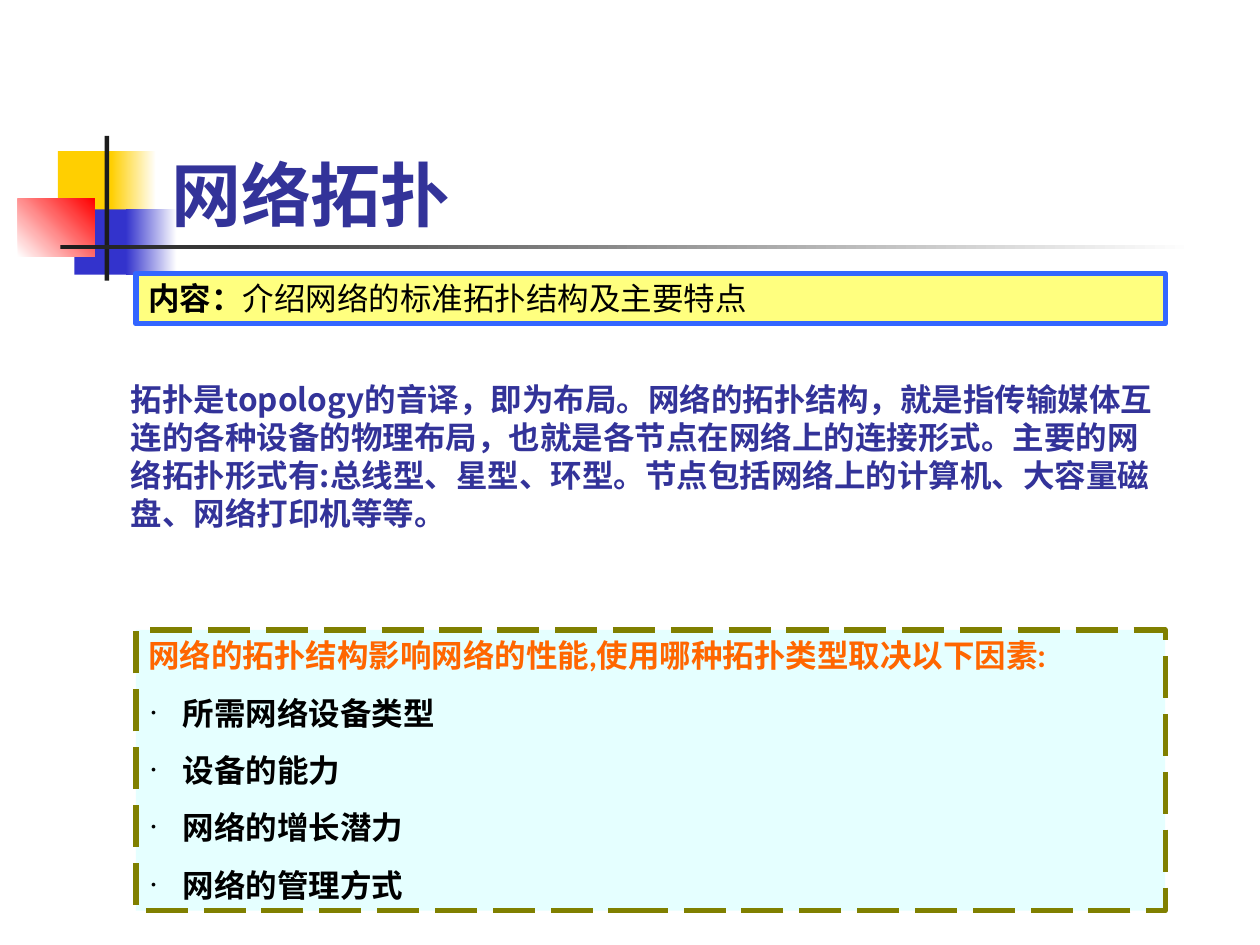
from dataclasses import dataclass

from lxml import etree
from pptx import Presentation
from pptx.dml.color import RGBColor
from pptx.enum.dml import MSO_LINE
from pptx.enum.shapes import MSO_SHAPE
from pptx.enum.text import MSO_ANCHOR, MSO_AUTO_SIZE, PP_ALIGN
from pptx.oxml.ns import qn
from pptx.util import Cm, Pt

RECT = MSO_SHAPE.RECTANGLE
LONG_DASH = MSO_LINE.LONG_DASH
TOP, BOTTOM = MSO_ANCHOR.TOP, MSO_ANCHOR.BOTTOM
LEFT = PP_ALIGN.LEFT
GROW = MSO_AUTO_SIZE.SHAPE_TO_FIT_TEXT

LATO, NOTO = "Lato", "Noto Sans CJK SC"
NAVY, BLACK, ORANGE = "333399", "000000", "FF6600"
BOX_LEFT, BOX_WIDTH = 2.74, 20.75
INDENT = Cm(0.69)


@dataclass
class Block:
    """A decorative rectangle in cm; a second colour makes it a gradient."""
    left: float
    top: float
    width: float
    height: float
    color: str
    end_color: str = ""
    angle: int = 0


BLOCKS = [
    Block(1.17, 3.05, 1.22, 1.32, "FFCF01"),
    Block(2.24, 3.05, 0.91, 1.32, "FFCF01", "FFFFFF"),
    Block(1.5, 4.22, 1.17, 1.32, "3333CC"),
    Block(2.54, 4.22, 1.02, 1.32, "3333CC", "FFFFFF"),
    Block(0.36, 4.01, 1.55, 1.17, "FFFFFF", "FF0000", 45),
    Block(2.11, 2.74, 0.09, 2.92, "1C1C1C"),
    Block(1.22, 4.94, 22.86, 0.09, "1C1C1C", "FFFFFF"),
]
FACTORS = ["所需网络设备类型", "设备的能力", "网络的增长潜力", "网络的管理方式"]


def rgb(color: str) -> RGBColor:
    return RGBColor.from_string(color)


def add_rect(slide, left: float, top: float, width: float, height: float):
    s = slide.shapes.add_shape(RECT, Cm(left), Cm(top), Cm(width), Cm(height))
    s.shadow.inherit = False
    return s


def draw_block(slide, block: Block) -> None:
    s = add_rect(slide, block.left, block.top, block.width, block.height)
    s.line.fill.background()
    if not block.end_color:
        s.fill.solid()
        s.fill.fore_color.rgb = rgb(block.color)
        return
    s.fill.gradient()
    s.fill.gradient_angle = block.angle
    for stop, color in zip(s.fill.gradient_stops, (block.color, block.end_color)):
        stop.color.rgb = rgb(color)


def add_box(slide, top: float, height: float, fill: str, line: str, dash=None):
    """Half-transparent framed box; returns its text frame."""
    s = add_rect(slide, BOX_LEFT, top, BOX_WIDTH, height)
    s.fill.solid()
    s.fill.fore_color.rgb = rgb(fill)
    color = s.fill._xPr.find(qn("a:solidFill"))[0]
    etree.SubElement(color, qn("a:alpha"), val="50000")
    s.line.color.rgb = rgb(line)
    s.line.width = Pt(3)
    if dash is not None:
        s.line.dash_style = dash
    return set_frame(s.text_frame)


def add_textbox(slide, left: float, top: float, width: float, height: float):
    s = slide.shapes.add_textbox(Cm(left), Cm(top), Cm(width), Cm(height))
    return set_frame(s.text_frame)


def set_frame(tf):
    tf.word_wrap = True
    tf.vertical_anchor = TOP
    tf.auto_size = GROW
    tf.paragraphs[0].alignment = LEFT
    return tf


def add_text(p, text: str, size: float = 18, color: str = BLACK,
             bold: bool = True, font: str = LATO) -> None:
    r = p.add_run()
    r.text = text
    r.font.size = Pt(size)
    r.font.bold = bold
    r.font.color.rgb = rgb(color)
    r.font.name = font
    etree.SubElement(r.font._element, qn("a:ea"), typeface=LATO)


def add_bullet(tf, text: str) -> None:
    p = tf.add_paragraph()
    p.alignment = LEFT
    p.space_before = Pt(11.2)
    pPr = p._p.get_or_add_pPr()
    pPr.set("marL", str(INDENT))
    pPr.set("indent", str(-INDENT))
    etree.SubElement(pPr, qn("a:buFont"), typeface="Times New Roman")
    etree.SubElement(pPr, qn("a:buChar"), char="·")
    add_text(p, text)


def main() -> None:
    prs = Presentation()
    prs.slide_width, prs.slide_height = Cm(25.4), Cm(19.05)
    slide = prs.slides.add_slide(prs.slide_layouts[6])

    # Coloured squares and rules beside the title
    for block in BLOCKS:
        draw_block(slide, block)

    # Title
    tf = add_textbox(slide, 3.2, 1.7, 21.64, 3.18)
    tf.auto_size = MSO_AUTO_SIZE.NONE
    tf.vertical_anchor = BOTTOM
    add_text(tf.paragraphs[0], "网络拓扑", size=40, color=NAVY)

    # Summary box
    tf = add_box(slide, 5.51, 1.02, "FFFF00", "3366FF")
    add_text(tf.paragraphs[0], "内容：")
    add_text(tf.paragraphs[0], "介绍网络的标准拓扑结构及主要特点", bold=False)

    # Definition
    tf = add_textbox(slide, 2.39, 7.54, 21.16, 3.3)
    tf.paragraphs[0].line_spacing = Pt(21.6)
    add_text(
        tf.paragraphs[0],
        "拓扑是topology的音译，即为布局。网络的拓扑结构，就是指传输媒体"
        "互连的各种设备的物理布局，也就是各节点在网络上的连接形式。主要的"
        "网络拓扑形式有:总线型、星型、环型。节点包括网络上的计算机、大容"
        "量磁盘、网络打印机等等。",
        color=NAVY, font=NOTO)

    # Factors box
    tf = add_box(slide, 12.7, 5.66, "CCFFFF", "808000", LONG_DASH)
    add_text(tf.paragraphs[0],
             "网络的拓扑结构影响网络的性能,使用哪种拓扑类型取决以下因素:",
             color=ORANGE)
    for factor in FACTORS:
        add_bullet(tf, factor)

    prs.save("out.pptx")


if __name__ == "__main__":
    main()
